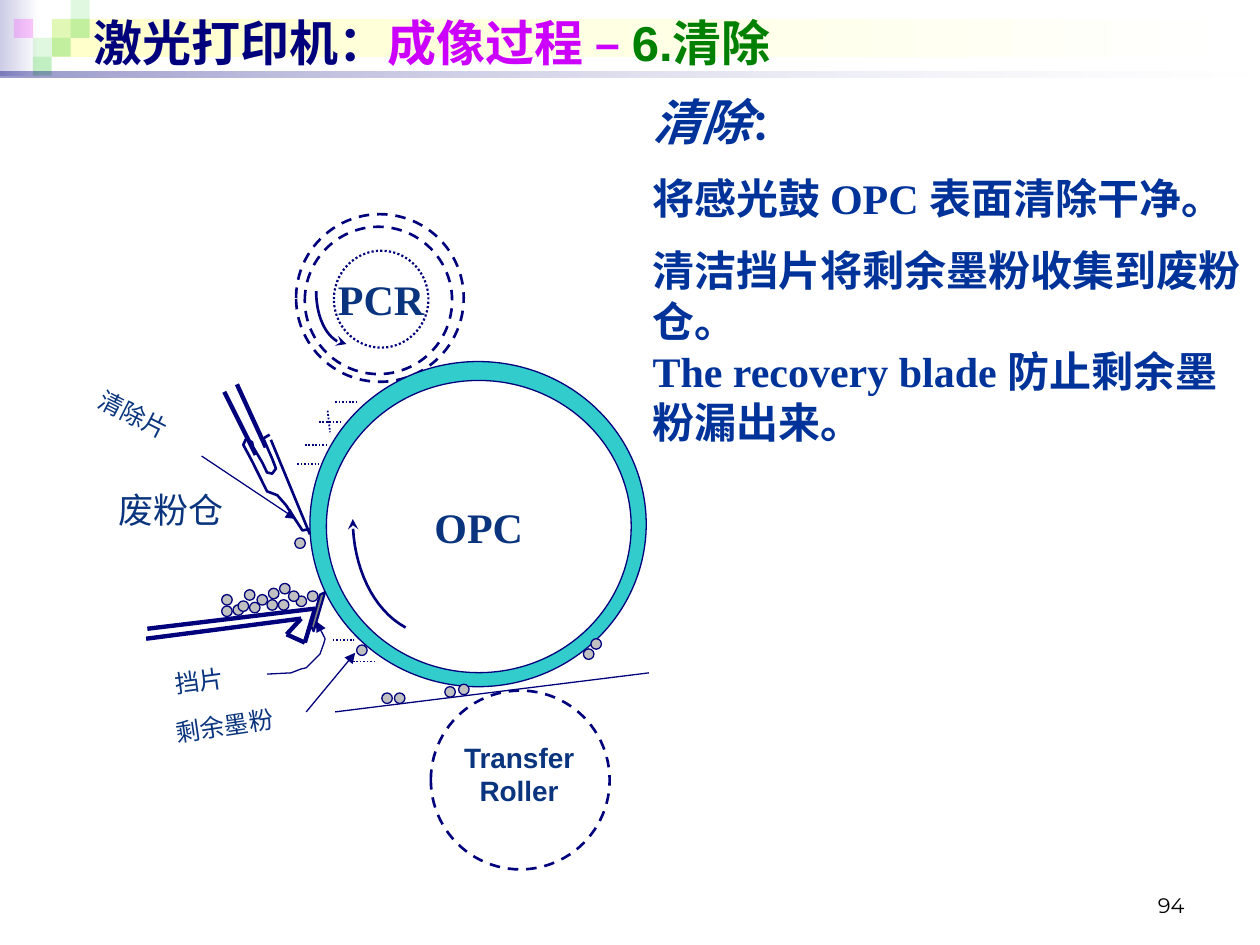
"""Build a slide on the cleaning step of laser printer imaging."""
from itertools import pairwise

from lxml import etree
from pptx import Presentation
from pptx.dml.color import RGBColor
from pptx.enum.dml import MSO_LINE
from pptx.enum.shapes import MSO_CONNECTOR, MSO_SHAPE
from pptx.enum.text import MSO_ANCHOR, PP_ALIGN
from pptx.oxml.ns import qn
from pptx.util import Pt

NAVY = RGBColor(0x00, 0x00, 0x7D)
LABEL_BLUE = RGBColor(0x0A, 0x35, 0x7E)
BODY_BLUE = RGBColor(0x00, 0x33, 0x99)
PURPLE = RGBColor(0xCC, 0x00, 0xFF)
DARK_GREEN = RGBColor(0x00, 0x80, 0x00)
GREEN = RGBColor(0x33, 0xCC, 0x33)
PINK = RGBColor(0xFF, 0x00, 0xFF)
LAVENDER = RGBColor(0xCC, 0xCC, 0xE6)
CREAM = RGBColor(0xFF, 0xFF, 0xCC)
TEAL = RGBColor(0x33, 0xCC, 0xCC)
SILVER = RGBColor(0xC0, 0xC0, 0xC0)
GRAY = RGBColor(0x80, 0x80, 0x80)
WHITE = RGBColor(0xFF, 0xFF, 0xFF)
BLACK = RGBColor(0x00, 0x00, 0x00)
RECTANGLE, OVAL = MSO_SHAPE.RECTANGLE, MSO_SHAPE.OVAL
STRAIGHT = MSO_CONNECTOR.STRAIGHT
DASH, DOT = MSO_LINE.DASH, MSO_LINE.ROUND_DOT
TOP, MIDDLE, BOTTOM = MSO_ANCHOR.TOP, MSO_ANCHOR.MIDDLE, MSO_ANCHOR.BOTTOM
LEFT, CENTER, RIGHT = PP_ALIGN.LEFT, PP_ALIGN.CENTER, PP_ALIGN.RIGHT
SERIF = "Times New Roman"
CELL = 10.8
CELLS = [(2, 1, GREEN, 15), (3, 0, GREEN, 15), (3, 1, GREEN, 30), (1, 2, GREEN, 15),
         (0, 1, PINK, 20), (2, 2, GREEN, 30), (1, 3, GREEN, 30)]
TONER = [(203.8, 368.6), (159.1, 342.7), (175.7, 337.7), (126.7, 339.8), (169.2, 340.6),
         (168.5, 307.4), (218.2, 396), (225.4, 396), (254.2, 392.4), (262.1, 391),
         (333.4, 370.8), (337.7, 365), (139.7, 337), (126.7, 346.3), (133.2, 345.6),
         (136.1, 343.4), (142.6, 344.2), (159.8, 333.4), (153.4, 336.2), (146.9, 339.8),
         (152.6, 342.7), (164.9, 337.7)]
CHARGES = [(174.2, 254.2), (191.5, 229.7), (182.2, 241.2), (190.1, 365.8),
           (201.6, 378), (169.9, 265)]
BLADE = [(177, 302.4), (172.8, 303.1), (163.4, 288.7), (158.4, 283), (152.6, 280.8),
         (146.9, 269.3), (144, 263.5), (139, 254.2), (140.5, 251), (144, 252.7),
         (144.7, 255.6), (149.8, 264.2), (152.6, 270), (155.5, 270.7), (157.7, 267.8),
         (155.5, 262.1), (150.5, 250.6), (154.1, 248.4)]
BLADE_HOLDER = [(154.8, 251.3, 177.1, 305.3, 1.5), (151.9, 255.6, 135.4, 219.6, 2.5),
                (146.2, 259.9, 128.2, 223.9, 2.5)]
BIN_FLOOR = [(84.2, 359.3), (180, 347.8), (174.2, 367.2), (163.8, 362.5),
             (172.1, 353.5), (83.5, 365)]
SEAL = [(177.8, 357.8), (182.9, 339.8), (185.8, 338.4), (179.3, 360.7)]
SEAL_LEADER = [(152.6, 385.2), (166.3, 384.5), (172, 382.3), (175, 381.6),
               (182.9, 373.7), (185, 367.9), (185.8, 365), (180.7, 355)]
PCR_ARC = [(180.7, 166.3), (180.7, 182.9), (187.9, 195.8), (198, 196.6)]
OPC_ARC = [(231.8, 358.6), (213.1, 348.5), (201.6, 324), (201.6, 296.6)]


def set_alpha(shape, percents):
    """Give the colours of a shape's fill their opacity in percent."""
    for color, percent in zip(shape._element.spPr.iter(qn("a:srgbClr")), percents):
        etree.SubElement(color, qn("a:alpha"), val=str(percent * 1000))


def style_line(shape, width, dash=None, tail=None):
    """Set a navy line with an optional dash and arrowhead."""
    shape.line.color.rgb = NAVY
    shape.line.width = Pt(width)
    if dash:
        shape.line.dash_style = dash
    if tail:
        etree.SubElement(shape._element.spPr.find(qn("a:ln")), qn("a:tailEnd"), type=tail)


def write_text(box, paragraphs, anchor=TOP, wrap=True, align=LEFT, space=0, indent=0,
               right_indents=(), **style):
    """Fill a box with paragraphs, each a list of (text, format changes)."""
    frame = box.text_frame
    frame.word_wrap, frame.vertical_anchor = wrap, anchor
    for index, spans in enumerate(paragraphs):
        para = frame.add_paragraph() if index else frame.paragraphs[0]
        para.alignment = align
        if index:
            para.space_before = Pt(space)
        if indent:
            para._p.get_or_add_pPr().set("marL", str(Pt(indent)))
        if right_indents:
            para._p.get_or_add_pPr().set("marR", str(Pt(right_indents[index])))
        for text, changes in spans:
            look = {"bold": False, "italic": False, **style, **changes}
            para.add_line_break() if text == "\n" else add_span(para, text, **look)


def add_span(para, text, size, font, color, bold, italic):
    """Add one formatted run to a paragraph."""
    span = para.add_run()
    span.text = text
    span.font.size, span.font.name = Pt(size), font
    span.font.bold, span.font.italic = bold, italic
    span.font.color.rgb = color


def add_text(page, place, paragraphs, rotation=0, **style):
    """Add a text box."""
    box = page.shapes.add_textbox(*map(Pt, place))
    box.rotation = rotation
    write_text(box, paragraphs, **style)


def add_bar(page, place, colors, alphas=()):
    """Add a borderless rectangle, plain or with a gradient to the right."""
    bar = page.shapes.add_shape(RECTANGLE, *map(Pt, place))
    bar.shadow.inherit = False
    bar.line.fill.background()
    if len(colors) == 1:
        bar.fill.solid()
        bar.fill.fore_color.rgb = colors[0]
    else:
        bar.fill.gradient()
        bar.fill.gradient_angle = 0
        for stop, color in zip(bar.fill.gradient_stops, colors):
            stop.color.rgb = color
    set_alpha(bar, alphas)


def paint(shape, fill):
    """Fill a shape, or leave it open when there is no colour."""
    shape.shadow.inherit = False
    if fill is None:
        shape.fill.background()
    else:
        shape.fill.solid()
        shape.fill.fore_color.rgb = fill


def add_circle(page, place, fill=None, width=0.75, dash=None, label=None):
    """Add an ellipse with an optional centred label."""
    circle = page.shapes.add_shape(OVAL, *map(Pt, place))
    paint(circle, fill)
    style_line(circle, width, dash)
    if label:
        write_text(circle, [[(label, {})]], anchor=MIDDLE, wrap=False, align=CENTER,
                   size=24, font=SERIF, color=LABEL_BLUE, bold=True)


def add_line(page, start, end, width=0.75, dash=None, tail=None):
    """Add a straight connector."""
    line = page.shapes.add_connector(STRAIGHT, *map(Pt, (*start, *end)))
    etree.SubElement(line._element.spPr, qn("a:effectLst"))
    style_line(line, width, dash, tail)


def add_outline(page, points, width, fill=None, tail=None):
    """Add a freeform through points, closed when filled."""
    start, *rest = [(Pt(x), Pt(y)) for x, y in points]
    builder = page.shapes.build_freeform(*start)
    builder.add_line_segments(rest, close=fill is not None)
    outline = builder.convert_to_shape()
    paint(outline, fill)
    style_line(outline, width, tail=tail)


def curve(controls, steps=16):
    """Return points along a cubic Bezier curve."""
    points = []
    for step in range(steps + 1):
        t = step / steps
        weights = ((1 - t) ** 3, 3 * t * (1 - t) ** 2, 3 * t * t * (1 - t), t ** 3)
        points.append(tuple(sum(w * v for w, v in zip(weights, axis)) for axis in zip(*controls)))
    return points


def add_header(page):
    """Draw the title band with its title."""
    add_bar(page, (0, 0, 22.3, 43.2), [LAVENDER, WHITE])
    add_bar(page, (29.5, 10.8, 687.6, 21.6), [CREAM, WHITE])
    for column, row, color, alpha in CELLS:
        add_bar(page, (8 + column * CELL, row * CELL, CELL, CELL), [color], [alpha])
    add_bar(page, (0, 41, 720, 3.6), [NAVY, WHITE], [40, 10])
    title = [("激光打印机：", {}), ("成像过程 – ", {"color": PURPLE}),
             ("6.清除", {"color": DARK_GREEN})]
    add_text(page, (46.5, 3.6, 648, 41), [title], anchor=MIDDLE,
             size=28, font="Arial", color=NAVY, bold=True)


def add_rollers(page):
    """Draw the charge roller, the drum and the transfer roller."""
    add_circle(page, (169.2, 122.4, 95.8, 95.8), width=1.5, dash=DASH)
    add_circle(page, (174.2, 129.6, 84.2, 84.2), width=1.5, dash=DASH)
    add_circle(page, (190.8, 143.3, 54, 55.4), WHITE, 1.25, DOT, "PCR")
    add_outline(page, curve(PCR_ARC), 1.5, tail="stealth")
    add_circle(page, (177.1, 206.6, 192.2, 185.8), TEAL)
    add_circle(page, (186.5, 217.4, 174.2, 167), WHITE, label="OPC")
    add_outline(page, curve(OPC_ARC), 1.5, tail="stealth")
    add_circle(page, (246.2, 394.6, 102.2, 102.2), width=1.5, dash=DASH)
    add_text(page, (254.6, 419.5, 84.2, 46), [[("Transfer", {})], [("Roller", {})]],
             align=CENTER, size=16, font="Arial", color=LABEL_BLUE, bold=True)
    add_line(page, (191.5, 406.8), (370.8, 384.5))


def add_cleaner(page):
    """Draw the blade, the waste bin, the charges and the toner."""
    for x, y in CHARGES:
        add_line(page, (x, y), (x + 12, y), 1, DOT)
    add_line(page, (187.2, 234.7), (188.6, 247), 1, DOT)
    add_outline(page, BLADE, 1.5)
    for x1, y1, x2, y2, width in BLADE_HOLDER:
        add_line(page, (x1, y1), (x2, y2), width)
    for start, end in pairwise(BIN_FLOOR):
        add_line(page, start, end, 2.5)
    add_outline(page, SEAL, 1.25, GRAY)
    for x, y in TONER:
        add_circle(page, (x, y, 6, 6), SILVER)


def add_labels(page):
    """Name the parts and point to them."""
    style = {"font": "Arial", "color": LABEL_BLUE}
    add_text(page, (60.5, 275.8, 85.7, 31), [[("废粉仓", {})]], size=20, **style)
    for text, place, rotation, indent in [
            ("剩余墨粉", (43.2, 404.6, 144, 23.8), 351.5, 50),
            ("挡片", (45.4, 378, 120.2, 23.8), 352.2, 47.5),
            ("清除片", (14.4, 222.5, 113.8, 23.8), 26.7, 34.5)]:
        add_text(page, place, [[(text, {})]], rotation, indent=indent, size=14, **style)
    add_line(page, (115.2, 260.6), (169.2, 296.6), tail="triangle")
    add_line(page, (175, 406.8), (203, 373), tail="triangle")
    add_outline(page, SEAL_LEADER, 0.75, tail="triangle")


def main():
    """Build and save the deck."""
    deck = Presentation()
    deck.slide_width, deck.slide_height = Pt(720), Pt(540)
    page = deck.slides.add_slide(deck.slide_layouts[6])
    add_header(page)
    add_text(page, (516.2, 491.8, 167.8, 36), [[("94", {})]], anchor=BOTTOM, align=RIGHT,
             size=12, font="Montserrat", color=BLACK)
    body = [[("清除", {"size": 28, "italic": True}), ("：", {})],
            [("将感光鼓 OPC 表面清除干净。", {})],
            [("清洁挡片将剩余墨粉收集到废粉仓。", {}), ("\n", {}),
             ("The recovery blade 防止剩余墨粉漏出来。", {})]]
    add_text(page, (365.8, 49, 351.5, 216), body, space=12.5, right_indents=(0, 24, 0),
             size=24, font=SERIF, color=BODY_BLUE, bold=True)
    add_rollers(page)
    add_cleaner(page)
    add_labels(page)
    deck.save("out.pptx")


if __name__ == "__main__":
    main()
